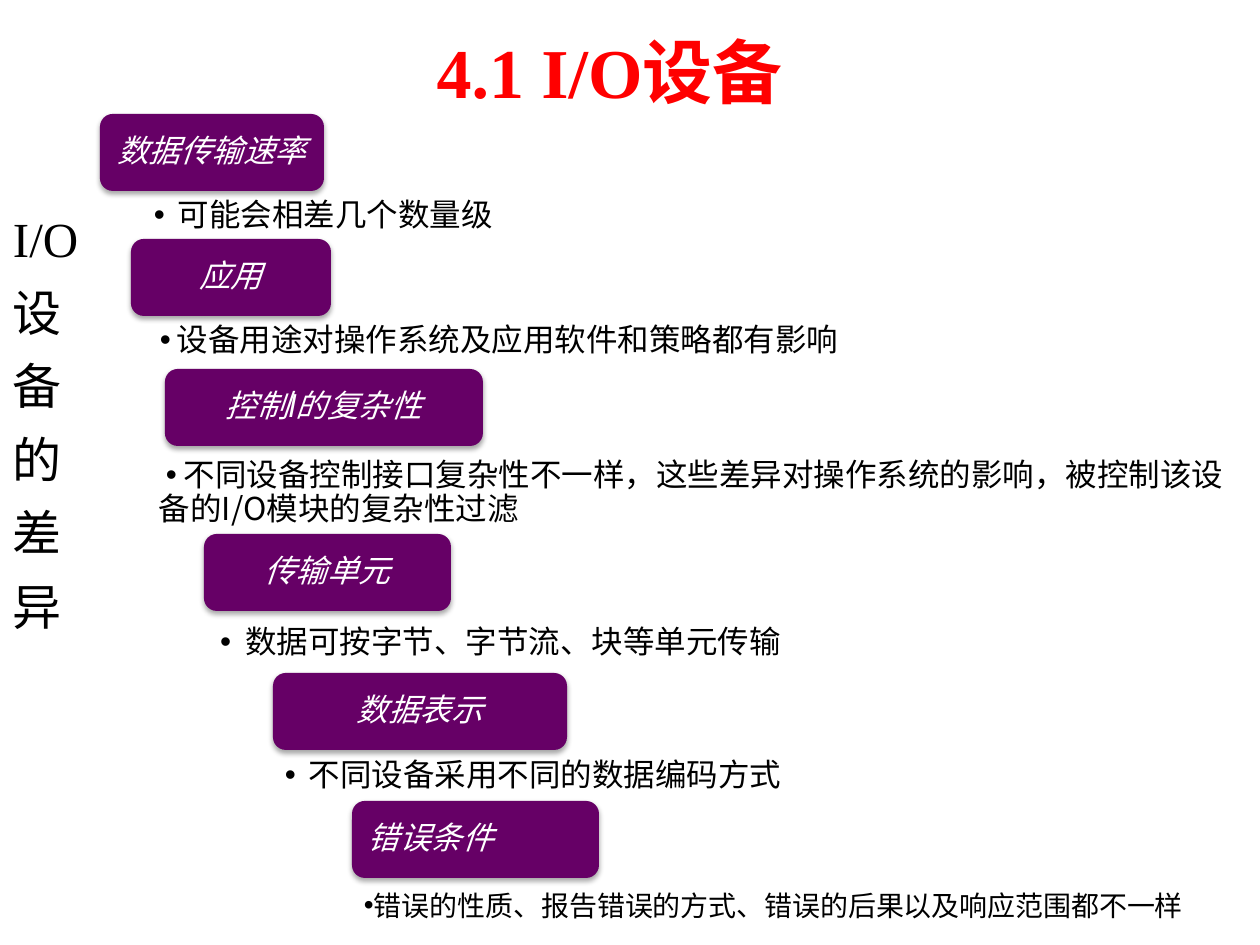
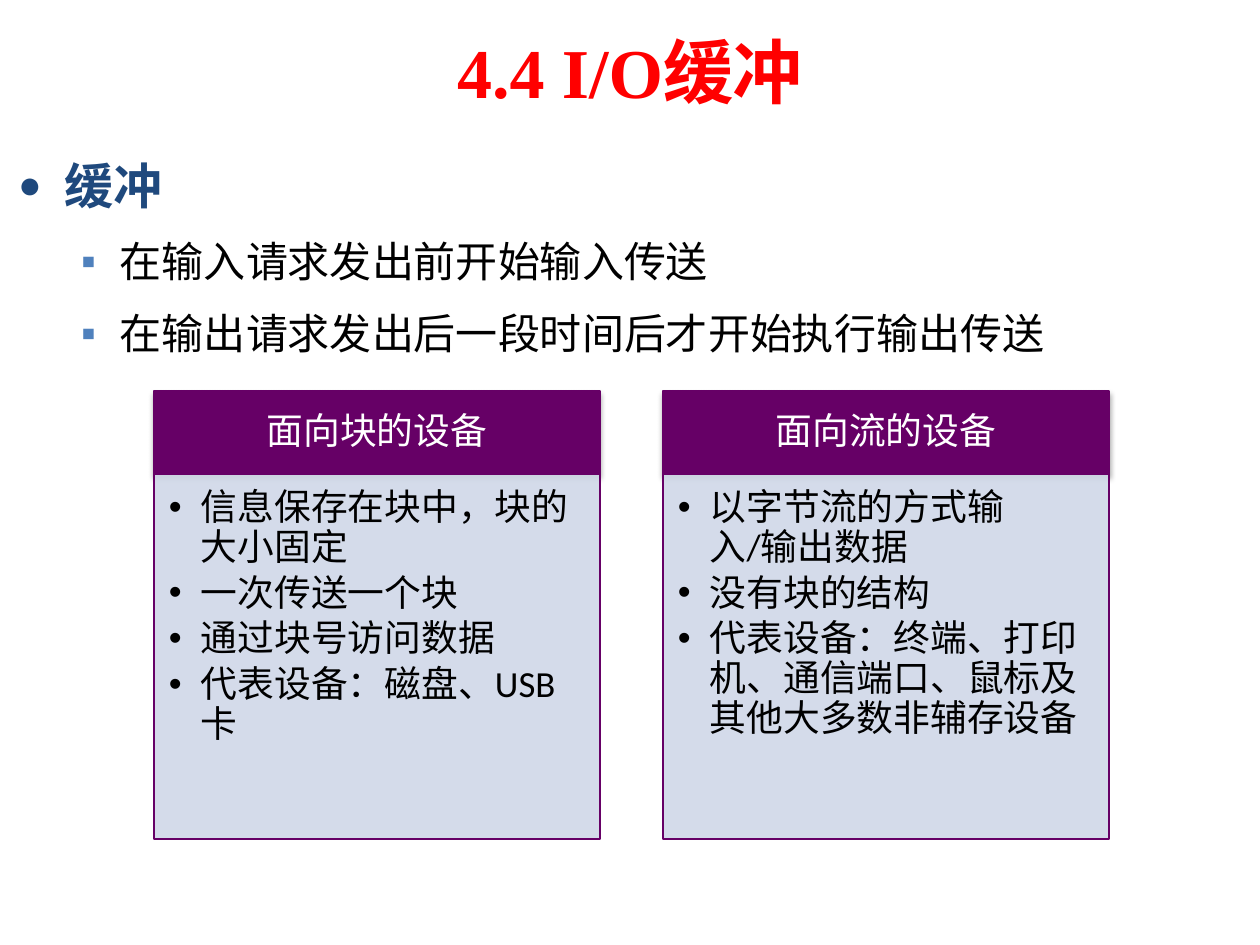
from collections import namedtuple
from dataclasses import dataclass

from lxml import etree
from pptx import Presentation
from pptx.dml.color import RGBColor
from pptx.enum.shapes import MSO_SHAPE
from pptx.enum.text import MSO_ANCHOR, MSO_AUTO_SIZE, PP_ALIGN
from pptx.oxml.ns import qn
from pptx.util import Emu, Pt

ROUNDED, RECTANGLE = MSO_SHAPE.ROUNDED_RECTANGLE, MSO_SHAPE.RECTANGLE
LEFT, CENTER = PP_ALIGN.LEFT, PP_ALIGN.CENTER
TOP, MIDDLE = MSO_ANCHOR.TOP, MSO_ANCHOR.MIDDLE
NO_AUTOFIT = MSO_AUTO_SIZE.NONE

PX_PER_INCH = 126
EMU_PER_INCH = 914400
TITLE_AND_CONTENT = 1
CARD_HEIGHT = 77
DETAIL_HEIGHT = 57

Box = namedtuple("Box", "x y w h")
Type = namedtuple("Type", "face size color bold italic", defaults=(False, False))
Difference = namedtuple("Difference", "label card_x card_y card_w align "
                        "detail detail_x detail_y hang first style")


@dataclass(frozen=True)
class Theme:
    """Colours and type styles shared by the slides."""
    purple: str = "660066"
    panel: str = "D0D8E8"
    navy: str = "1F497D"
    blue: str = "4F81BD"
    title: Type = Type("Times New Roman", 40, "FF0000", True)
    side: Type = Type("Times New Roman", 28, "000000")
    label: Type = Type("Arial", 18, "FFFFFF", italic=True)
    detail: Type = Type("Noto Sans CJK SC", 18, "000000")
    small_detail: Type = Type("Noto Sans CJK SC", 16, "000000")
    topic: Type = Type("Calibri", 28, "1F497D", True)
    point: Type = Type("Arial", 24, "000000")
    heading: Type = Type("Calibri", 21, "FFFFFF")
    item: Type = Type("Calibri", 21, "000000")


THEME = Theme()

DIFFERENCES = [
    Difference("数据传输速率", 100, 114, 224, CENTER,
               "可能会相差几个数量级", 154, 195, 24, -24, THEME.detail),
    Difference("应用", 131, 239, 200, CENTER,
               "设备用途对操作系统及应用软件和策略都有影响", 160, 320, 17, -17, THEME.detail),
    Difference("控制l的复杂性", 165, 369, 318, CENTER,
               " 不同设备控制接口复杂性不一样，这些差异对操作系统的影响，被控制该设备的I/O模块的复杂性过滤",
               159, 455, 0, 7, THEME.detail),
    Difference("传输单元", 204, 534, 247, CENTER,
               "数据可按字节、字节流、块等单元传输", 220, 622, 25, -25, THEME.detail),
    Difference("数据表示", 273, 673, 294, CENTER,
               "不同设备采用不同的数据编码方式", 285, 755, 24, -24, THEME.detail),
    Difference("错误条件", 352, 801, 247, LEFT,
               "错误的性质、报告错误的方式、错误的后果以及响应范围都不一样",
               364, 888, 10, -10, THEME.small_detail),
]

DEVICE_KINDS = [
    ("面向块的设备", ["信息保存在块中，块的大小固定", "一次传送一个块",
                "通过块号访问数据", "代表设备：磁盘、USB卡"]),
    ("面向流的设备", ["以字节流的方式输入/输出数据", "没有块的结构",
                "代表设备：终端、打印机、通信端口、鼠标及其他大多数非辅存设备"]),
]


def px(length):
    """Convert pixels to EMU."""
    return Emu(round(length * EMU_PER_INCH / PX_PER_INCH))


def place(shape, box):
    """Move a shape to a box."""
    shape.left, shape.top, shape.width, shape.height = map(px, box)


def prepare_frame(shape, insets, anchor):
    """Return the wrapped text frame with the given insets."""
    frame = shape.text_frame
    frame.word_wrap = True
    frame.auto_size = NO_AUTOFIT
    frame.vertical_anchor = anchor
    (frame.margin_left, frame.margin_top,
     frame.margin_right, frame.margin_bottom) = map(px, insets)
    return frame


def add_paragraph(frame, text):
    """Return a paragraph holding the text, reusing the empty first one."""
    first = frame.paragraphs[0]
    paragraph = frame.add_paragraph() if first.runs else first
    paragraph.text = text
    return paragraph


def set_bullet(paragraph, mark, left, first, color=None, percent=None):
    """Give a paragraph its indents and bullet, or none without a mark."""
    props = paragraph._p.get_or_add_pPr()
    props.set("marL", str(px(left)))
    props.set("indent", str(px(first)))
    if not mark:
        etree.SubElement(props, qn("a:buNone"))
        return
    if color:
        etree.SubElement(etree.SubElement(props, qn("a:buClr")), qn("a:srgbClr"), val=color)
    if percent:
        etree.SubElement(props, qn("a:buSzPct"), val=str(percent * 1000))
    etree.SubElement(props, qn("a:buFont"), typeface="Arial")
    etree.SubElement(props, qn("a:buChar"), char=mark)


def style(paragraph, kind, align=LEFT, spacing=0.9, before=0, after=0):
    """Apply type and spacing to a paragraph."""
    paragraph.alignment = align
    paragraph.line_spacing = spacing
    paragraph.space_before, paragraph.space_after = Pt(before), Pt(after)
    font = paragraph.font
    font.name, font.size = kind.face, Pt(kind.size)
    font.bold, font.italic = kind.bold, kind.italic
    font.color.rgb = RGBColor.from_string(kind.color)


def add_block(slide, preset, box, fill, outlined, shadowed):
    """Add a filled shape with an optional outline and soft shadow."""
    block = slide.shapes.add_shape(preset, *map(px, box))
    block.fill.solid()
    block.fill.fore_color.rgb = RGBColor.from_string(fill)
    if outlined:
        block.line.color.rgb = RGBColor.from_string(THEME.purple)
        block.line.width = Pt(0.75)
    else:
        block.line.fill.background()
    block.shadow.inherit = False
    if shadowed:
        effects = block._element.spPr.find(qn("a:effectLst"))
        shadow = etree.SubElement(effects, qn("a:outerShdw"), blurRad=str(Pt(3.1)),
                                  dist=str(Pt(1.8)), dir="5400000", rotWithShape="0")
        tint = etree.SubElement(shadow, qn("a:srgbClr"), val="000000")
        etree.SubElement(tint, qn("a:alpha"), val="35000")
    return block


def add_titled_slide(deck, title, box):
    """Add a slide with the shared title style."""
    slide = deck.slides.add_slide(deck.slide_layouts[TITLE_AND_CONTENT])
    place(slide.shapes.title, box)
    frame = prepare_frame(slide.shapes.title, (13, 6, 13, 6), MIDDLE)
    style(add_paragraph(frame, title), THEME.title, CENTER, 1.0)
    return slide


def add_side_caption(slide, text, box):
    """Set the narrow caption that runs down the left edge."""
    body = slide.placeholders[1]
    place(body, box)
    caption = add_paragraph(prepare_frame(body, (13, 6, 13, 6), TOP), text)
    set_bullet(caption, None, 0, 0)
    style(caption, THEME.side, spacing=1.25)


def add_difference(slide, row, right):
    """Add one label card and the detail line below it."""
    card = add_block(slide, ROUNDED, Box(row.card_x, row.card_y, row.card_w, CARD_HEIGHT),
                     THEME.purple, False, True)
    label = add_paragraph(prepare_frame(card, (12, 12, 12, 12), MIDDLE), row.label)
    style(label, THEME.label, row.align)

    box = Box(row.detail_x, row.detail_y, right - row.detail_x, DETAIL_HEIGHT)
    note = slide.shapes.add_textbox(*map(px, box))
    detail = add_paragraph(prepare_frame(note, (0, 4, 0, 4), TOP), row.detail)
    set_bullet(detail, "•", row.hang, row.first)
    style(detail, row.style)


def add_topic(slide, topic, points, box):
    """Fill the body with a topic and its points."""
    body = slide.placeholders[1]
    place(body, box)
    frame = prepare_frame(body, (13, 6, 13, 6), TOP)
    heading = add_paragraph(frame, topic)
    set_bullet(heading, "●", 47, -47, THEME.navy, 80)
    style(heading, THEME.topic, spacing=1.25)
    for text in points:
        point = add_paragraph(frame, text)
        point.level = 1
        set_bullet(point, "▪", 102, -39, THEME.blue)
        style(point, THEME.point, spacing=1.25, before=5)


def add_device_panel(slide, heading, items, box, header_height):
    """Add a header bar over a tinted list."""
    header = add_block(slide, RECTANGLE, box._replace(h=header_height),
                       THEME.purple, True, True)
    frame = prepare_frame(header, (20, 11, 20, 11), MIDDLE)
    style(add_paragraph(frame, heading), THEME.heading, CENTER)

    area = box._replace(y=box.y + header_height, h=box.h - header_height)
    panel = add_block(slide, RECTANGLE, area, THEME.panel, True, False)
    tint = panel._element.spPr.find(qn("a:solidFill"))[0]
    etree.SubElement(tint, qn("a:alpha"), val="90000")
    frame = prepare_frame(panel, (15, 15, 20, 23), TOP)
    for text in items:
        item = add_paragraph(frame, text)
        set_bullet(item, "•", 32, -32)
        style(item, THEME.item, after=3.5)


def build_devices_slide(deck):
    """Build the staircase of device differences."""
    slide = add_titled_slide(deck, "4.1 I/O设备", Box(116, 32, 987, 78))
    add_side_caption(slide, "I/O设备的差异", Box(0, 188, 95, 417))
    for row in DIFFERENCES:
        add_difference(slide, row, 1244)


def build_buffering_slide(deck):
    """Build the buffering points and the device panels."""
    slide = add_titled_slide(deck, "4.4 I/O缓冲", Box(63, 6, 1134, 129))
    add_topic(slide, "缓冲", ["在输入请求发出前开始输入传送",
                            "在输出请求发出后一段时间后才开始执行输出传送"],
              Box(5, 135, 1160, 258))
    first, pitch = Box(154, 391, 446, 448), 509
    for column, (heading, items) in enumerate(DEVICE_KINDS):
        box = first._replace(x=first.x + column * pitch)
        add_device_panel(slide, heading, items, box, 83)


def main():
    """Build and save the deck."""
    deck = Presentation()
    deck.slide_width, deck.slide_height = px(1260), px(945)
    build_devices_slide(deck)
    build_buffering_slide(deck)
    deck.save("out.pptx")


if __name__ == "__main__":
    main()
